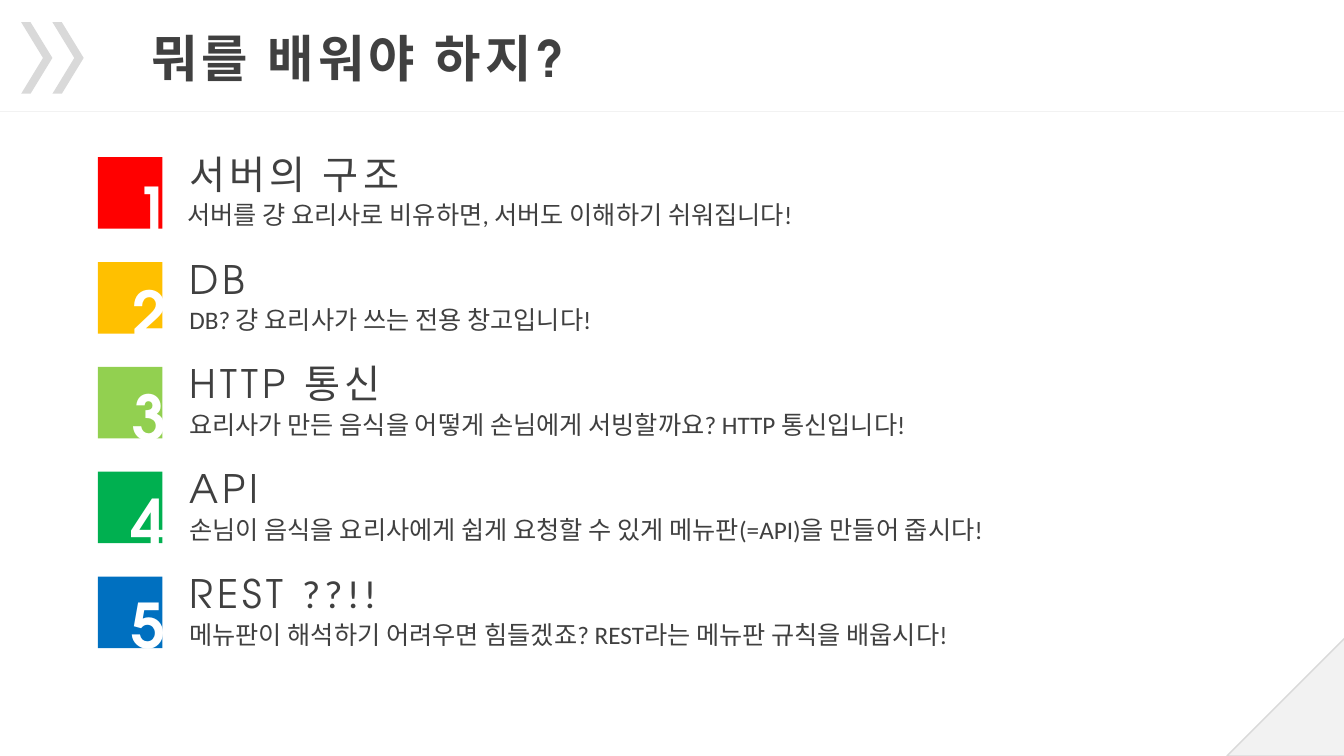
from dataclasses import dataclass

import lxml.etree
import pptx
import pptx.dml.color
import pptx.enum.shapes
import pptx.enum.text
import pptx.oxml.ns
import pptx.util

Inches = pptx.util.Inches
SHAPES = pptx.enum.shapes.MSO_SHAPE
ALIGN = pptx.enum.text.PP_ALIGN

COLORS = {
    "ink": "404040", "white": "FFFFFF", "rule": "F2F2F2", "gray": "D9D9D9",
    "red": "FF0000", "amber": "FFC000", "lime": "92D050",
    "green": "00B050", "blue": "0070C0",
}
DISPLAY_FONT = "TeX Gyre Adventor"
BODY_FONT = "Calibri"
FIRST_TOP, PITCH = 1.56, 1.04
NUMBER_TOP, NUMBER_PITCH = 1.65, 1.03


@dataclass(frozen=True)
class Topic:
    color: str
    heading: str
    heading_width: float
    detail: str
    detail_width: float = 8
    detail_left: float = 1.78
    number_left: float = 1.21
    heading_tail: str = ""


TOPICS = [
    Topic("red", "서버의 구조", 2.53, "서버를 걍 요리사로 비유하면, 서버도 이해하기 쉬워집니다!",
          detail_left=1.76, number_left=1.23),
    Topic("amber", "DB", 0.81, "DB? 걍 요리사가 쓰는 전용 창고입니다!"),
    Topic("lime", "HTTP 통신", 2.22,
          "요리사가 만든 음식을 어떻게 손님에게 서빙할까요? HTTP 통신입니다!"),
    Topic("green", "API", 0.94,
          "손님이 음식을 요리사에게 쉽게 요청할 수 있게 메뉴판(=API)을 만들어 줍시다!",
          detail_width=9.02, number_left=1.2),
    Topic("blue", "REST ", 2.2,
          "메뉴판이 해석하기 어려우면 힘들겠죠? REST라는 메뉴판 규칙을 배웁시다!",
          detail_width=8.46, number_left=1.2, heading_tail="??!!"),
]


def rgb(name: str) -> pptx.dml.color.RGBColor:
    return pptx.dml.color.RGBColor.from_string(COLORS[name])


def add_block(shapes, preset, box: tuple, fill: str, outline: str = ""):
    block = shapes.add_shape(preset, *map(Inches, box))
    block.shadow.inherit = False
    block.fill.solid()
    block.fill.fore_color.rgb = rgb(fill)
    if outline:
        block.line.color.rgb = rgb(outline)
        block.line.width = pptx.util.Pt(1)
    else:
        block.line.fill.background()
    return block


def write(holder, text: str, size: float, font: str, color: str = "ink",
          bold: bool = False, align=ALIGN.LEFT, spacing: int = 0, wrap: bool = False):
    frame = holder.text_frame
    frame.word_wrap = wrap
    frame.auto_size = pptx.enum.text.MSO_AUTO_SIZE.SHAPE_TO_FIT_TEXT
    frame.vertical_anchor = pptx.enum.text.MSO_ANCHOR.TOP
    paragraph = frame.paragraphs[0]
    paragraph.alignment = align
    paragraph.add_run().text = text
    paragraph.font.size = pptx.util.Pt(size)
    paragraph.font.name = font
    paragraph.font.bold = bold
    paragraph.font.color.rgb = rgb(color)
    if spacing:  # letter spacing, in hundredths of a point
        defaults = paragraph._p.pPr.find(pptx.oxml.ns.qn("a:defRPr"))
        defaults.set("spc", str(spacing * 100))
    return paragraph


def add_text(shapes, box: tuple, text: str, size: float, font: str, **style):
    return write(shapes.add_textbox(*map(Inches, box)), text, size, font, **style)


def add_topic(slide, index: int, topic: Topic) -> None:
    top = FIRST_TOP + index * PITCH
    row = slide.shapes.add_group_shape().shapes
    add_block(row, SHAPES.RECTANGLE, (0.97, top, 0.64, 0.71), topic.color)
    heading = add_text(row, (1.78, top - 0.12, topic.heading_width, 0.57),
                       topic.heading, 28, DISPLAY_FONT, spacing=3)
    if topic.heading_tail:
        tail = heading.add_run()
        tail.text = topic.heading_tail
        tail.font.name = BODY_FONT
    add_text(row, (topic.detail_left, top + 0.37, topic.detail_width, 0.4),
             topic.detail, 18, BODY_FONT, align=ALIGN.JUSTIFY, wrap=True)
    add_text(slide.shapes,
             (topic.number_left, NUMBER_TOP + index * NUMBER_PITCH, 0.55, 0.84),
             str(index + 1), 44, DISPLAY_FONT, color="white", bold=True,
             align=ALIGN.RIGHT)


def main() -> None:
    deck = pptx.Presentation()
    deck.slide_width, deck.slide_height = Inches(13.33), Inches(7.5)
    slide = deck.slides.add_slide(deck.slide_layouts[5])

    # Page corner
    corner = add_block(slide.shapes, SHAPES.RIGHT_TRIANGLE,
                       (12.17, 6.33, 1.17, 1.17), "rule", "gray")
    corner._element.spPr.xfrm.set("flipH", "1")

    # Title
    title = slide.shapes.title
    title.left, title.top, title.width, title.height = map(
        Inches, (0.98, 0.22, 4.72, 0.71))
    write(title, "뭐를 배워야 하지?", 36, DISPLAY_FONT, bold=True,
          align=ALIGN.RIGHT, spacing=3)

    # Header rule and chevrons
    rule = slide.shapes.add_connector(
        pptx.enum.shapes.MSO_CONNECTOR.STRAIGHT,
        0, Inches(1.1), deck.slide_width, Inches(1.1))
    rule.line.color.rgb = rgb("rule")
    rule.line.width = pptx.util.Pt(0.5)
    lxml.etree.SubElement(rule._element.spPr, pptx.oxml.ns.qn("a:effectLst"))
    chevrons = slide.shapes.add_group_shape().shapes
    for left in (0.21, 0.52):
        chevron = add_block(chevrons, SHAPES.CHEVRON, (left, 0.22, 0.31, 0.71), "gray")
        chevron.adjustments[0] = 0.7

    # Numbered topics
    for index, topic in enumerate(TOPICS):
        add_topic(slide, index, topic)

    deck.save("out.pptx")


if __name__ == "__main__":
    main()
